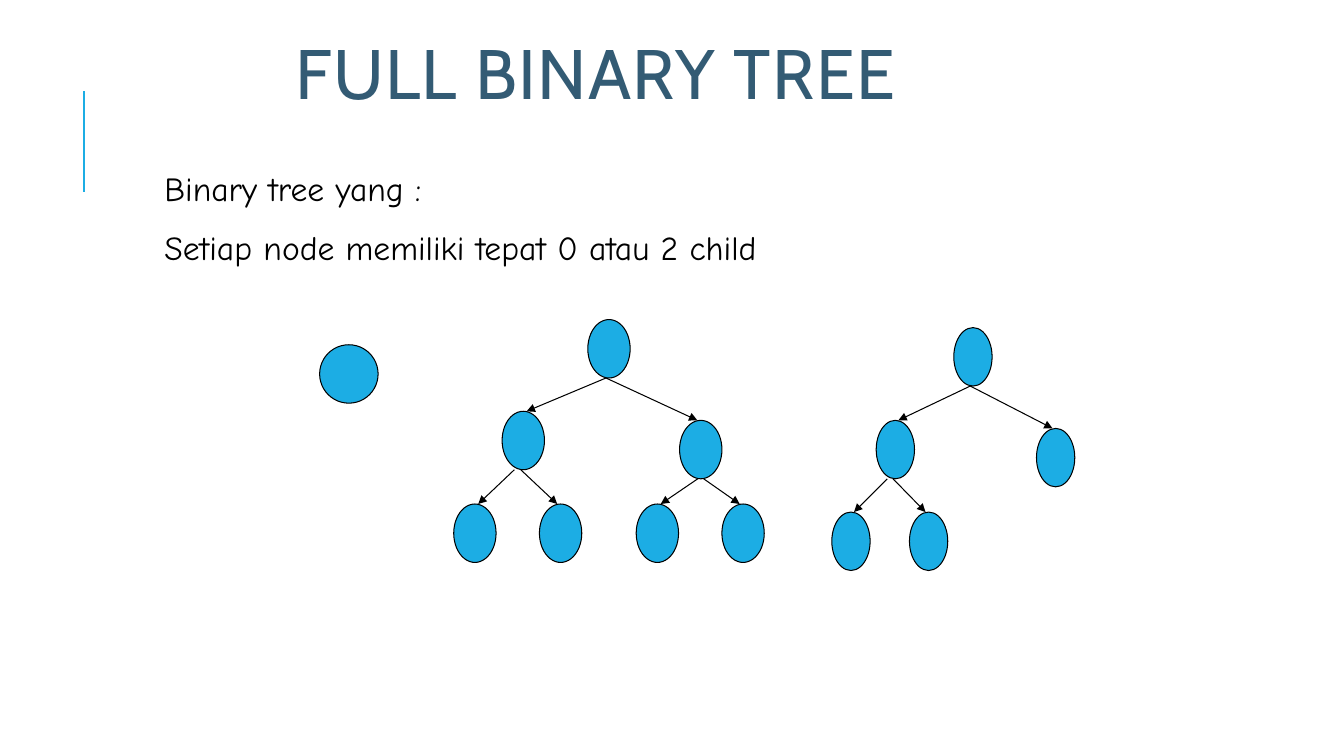
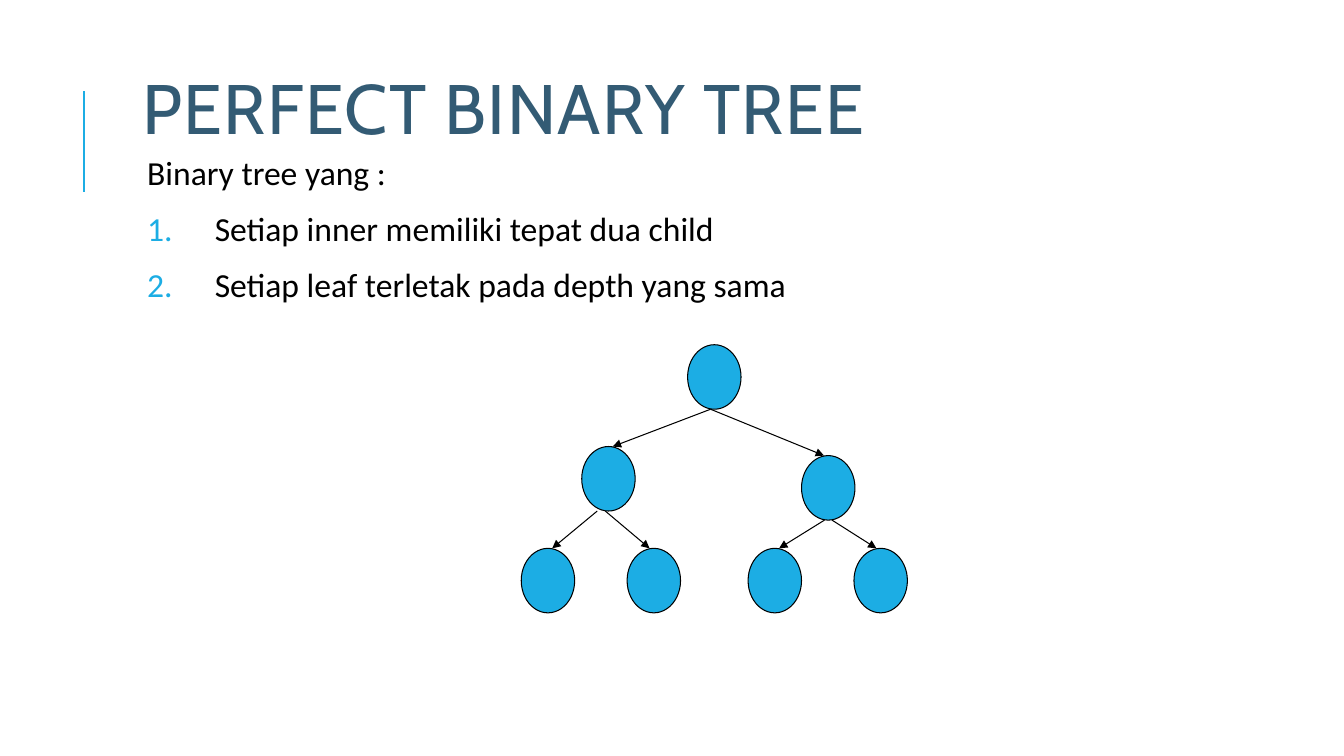
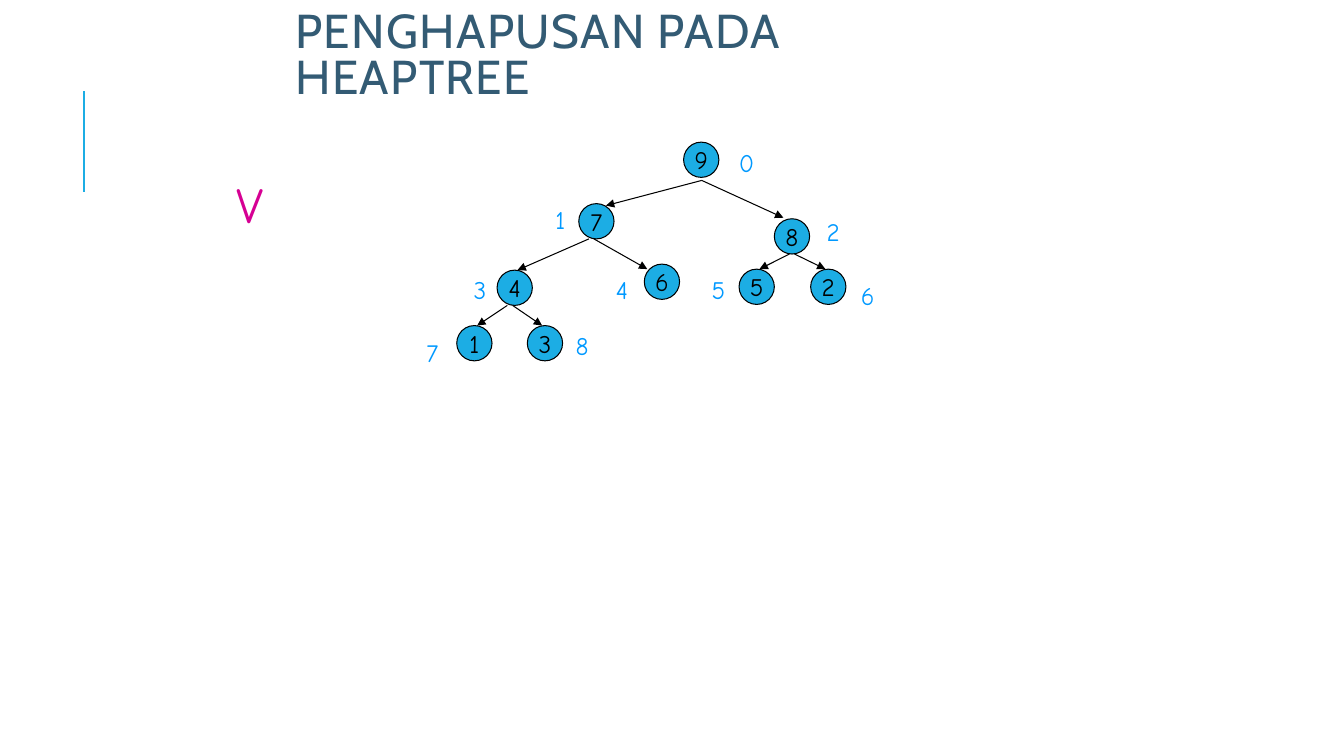
from dataclasses import dataclass

from lxml import etree
from pptx import Presentation
from pptx.dml.color import RGBColor
from pptx.enum import shapes, text
from pptx.oxml import ns
from pptx.util import Inches, Pt


@dataclass(frozen=True)
class Theme:
    accent: str = "1CADE4"
    title: str = "335B74"
    ink: str = "000000"
    index: str = "0099FF"
    mark: str = "D60093"
    title_font: str = "Cabin"
    body_font: str = "Calibri"
    hand_font: str = "Comic Neue"
    title_size: int = 50
    long_title_size: int = 34
    body_size: int = 24
    node_size: int = 18
    mark_size: int = 36
    outline: float = 0.75
    rule: float = 1.5


T = Theme()

# Content: trees list their nodes (left, top) in heap order,
# so the children of node i are nodes 2i + 1 and 2i + 2.
FULL = dict(
    title="FULL BINARY TREE", title_box=(2.83, 0.36, 8.5, 0.81),
    lines=["Binary tree yang :", "Setiap node memiliki tepat 0 atau 2 child"],
    lines_box=(1.53, 1.62, 9.38, 1.11),
    trees=[
        dict(size=(0.42, 0.58), nodes=[
            (5.83, 3.17), (4.98, 4.08), (6.74, 4.17),
            (4.5, 5), (5.35, 5), (6.31, 5), (7.16, 5)]),
        dict(size=(0.58, 0.58), nodes=[(3.17, 3.42)]),
        dict(size=(0.38, 0.58), nodes=[
            (9.46, 3.25), (8.69, 4.17), (10.28, 4.25), (8.25, 5.08), (9.02, 5.08)]),
    ])

PERFECT = dict(
    title="PERFECT BINARY TREE", title_box=(1.31, 0.71, 8.04, 0.81),
    lines=["Binary tree yang :", "Setiap inner memiliki tepat dua child",
           "Setiap leaf terletak pada depth yang sama"],
    lines_box=(1.41, 1.5, 10.23, 1.92),
    trees=[dict(size=(0.53, 0.64), nodes=[
        (6.82, 3.42), (5.77, 4.43), (7.95, 4.52),
        (5.17, 5.44), (6.22, 5.44), (7.42, 5.44), (8.47, 5.44)])])

HEAP = dict(
    title="PENGHAPUSAN PADA HEAPTREE", title_box=(2.83, 0.25, 7.33, 0.83),
    tree=dict(
        size=(0.35, 0.35),
        nodes=[(6.78, 1.41), (5.74, 2.02), (7.68, 2.17), (4.93, 2.68), (6.39, 2.62),
               (7.33, 2.67), (8.04, 2.67), (4.53, 3.23), (5.23, 3.23)],
        values="978465213",
        # Arrows that meet a node away from its top, by child index
        arrows={1: (6.96, 1.79, 6.01, 2.04), 2: (6.96, 1.79, 7.77, 2.16),
                4: (5.89, 2.37, 6.42, 2.67)}),
    index_at=[(7.23, 1.41), (5.41, 1.98), (8.1, 2.1), (4.6, 2.67), (6.01, 2.67),
              (6.96, 2.67), (8.44, 2.73), (4.13, 3.3), (5.61, 3.23)],
    mark="V", mark_box=(2.25, 1.67, 1.5, 0.7))

# Arrow ends as shares of node width, measured from the node's centre line
FORK = {"root": (-0.07, -0.07), "left": (-0.21, -0.06), "right": (-0.07, 0.07)}
TIP = 0.08


# Helpers
def inches(box):
    return [Inches(v) for v in box]


def place(sp, box):
    sp.left, sp.top, sp.width, sp.height = inches(box)


def style(p, font, size, color):
    for r in p.runs:
        r.font.name, r.font.size = font, Pt(size)
        r.font.color.rgb = RGBColor.from_string(color)


def add_line(parent, ends, color, width, arrow=False):
    line = parent.add_connector(shapes.MSO_CONNECTOR.STRAIGHT, *inches(ends))
    line.line.color.rgb = RGBColor.from_string(color)
    line.line.width = Pt(width)
    if arrow:
        etree.SubElement(line.line._get_or_add_ln(), ns.qn("a:tailEnd"), type="triangle")
    etree.SubElement(line.element.spPr, ns.qn("a:effectLst"))
    return line


def add_text(s, value, box, size, color):
    tf = s.shapes.add_textbox(*inches(box)).text_frame
    tf.word_wrap = True
    tf.text = value
    style(tf.paragraphs[0], T.hand_font, size, color)


def add_slide(prs, layout, data, size):
    s = prs.slides.add_slide(prs.slide_layouts[layout])
    sp = s.shapes.title
    place(sp, data["title_box"])
    tf = sp.text_frame
    tf.text = data["title"]
    tf.auto_size = text.MSO_AUTO_SIZE.NONE
    tf.vertical_anchor = text.MSO_ANCHOR.BOTTOM
    p = tf.paragraphs[0]
    p.alignment, p.line_spacing = text.PP_ALIGN.LEFT, 0.8
    style(p, T.title_font, size, T.title)
    p.runs[0].font._element.set("spc", "100")
    return s


def fill_body(s, data, font, indent, spacing, before, after=0, inset=0.1, numbered=False):
    sp = s.placeholders[1]
    place(sp, data["lines_box"])
    tf = sp.text_frame
    tf.text = "\n".join(data["lines"])
    tf.auto_size = text.MSO_AUTO_SIZE.NONE
    tf.margin_left = tf.margin_right = Inches(inset)
    for i, p in enumerate(tf.paragraphs):
        p.line_spacing = spacing
        p.space_before, p.space_after = Pt(before if i else 0), Pt(after)
        pPr = p._p.get_or_add_pPr()
        pPr.set("marL", str(Inches(indent)))
        pPr.set("indent", str(-Inches(indent)))
        if numbered and i:
            clr = etree.SubElement(pPr, ns.qn("a:buClr"))
            etree.SubElement(clr, ns.qn("a:srgbClr"), val=T.accent)
            etree.SubElement(pPr, ns.qn("a:buFont"), typeface="+mj-lt")
            etree.SubElement(pPr, ns.qn("a:buAutoNum"), type="arabicPeriod")
        else:
            etree.SubElement(pPr, ns.qn("a:buNone"))
        style(p, font, T.body_size, T.ink)


def arrow_ends(tree, child):
    w, h = tree["size"]
    parent = (child - 1) // 2
    (px, py), (cx, cy) = tree["nodes"][parent], tree["nodes"][child]
    role = "root" if parent == 0 else "left" if parent % 2 else "right"
    is_left = child % 2 == 1
    start = px + w * (0.5 + FORK[role][0 if is_left else 1])
    end = cx + w * (0.5 + (TIP if is_left else -TIP))
    return start, py + h, end, cy


def add_tree(parent, tree):
    for i, at in enumerate(tree["nodes"]):
        sp = parent.add_shape(shapes.MSO_SHAPE.OVAL, *inches(at + tree["size"]))
        sp.shadow.inherit = False
        sp.fill.solid()
        sp.fill.fore_color.rgb = RGBColor.from_string(T.accent)
        sp.line.color.rgb = RGBColor.from_string(T.ink)
        sp.line.width = Pt(T.outline)
        if "values" in tree:
            tf = sp.text_frame
            tf.text = tree["values"][i]
            tf.word_wrap = False
            tf.vertical_anchor = text.MSO_ANCHOR.MIDDLE
            tf.paragraphs[0].alignment = text.PP_ALIGN.CENTER
            style(tf.paragraphs[0], T.hand_font, T.node_size, T.ink)
    for child in range(1, len(tree["nodes"])):
        ends = tree.get("arrows", {}).get(child) or arrow_ends(tree, child)
        add_line(parent, ends, T.ink, T.outline, arrow=True)


def add_trees(s, trees):
    for tree in trees:
        grouped = len(tree["nodes"]) > 1
        add_tree(s.shapes.add_group_shape().shapes if grouped else s.shapes, tree)


def main():
    prs = Presentation()
    prs.slide_width, prs.slide_height = Inches(13.33), Inches(7.5)

    # Full binary tree
    s = add_slide(prs, 1, FULL, T.title_size)
    # The accent rule moves to the master, so every slide shows it
    rule = add_line(s.shapes, (0.83, 1.9, 0.83, 0.9), T.accent, T.rule)
    prs.slide_master.shapes.element.append(rule.element)
    fill_body(s, FULL, T.hand_font, indent=0.38, spacing=1.0, before=13)
    add_trees(s, FULL["trees"])

    # Perfect binary tree
    s = add_slide(prs, 1, PERFECT, T.title_size)
    fill_body(s, PERFECT, T.body_font, indent=0.67, spacing=0.9, before=12,
              after=2, inset=0.05, numbered=True)
    add_trees(s, PERFECT["trees"])

    # Heap tree with node indexes
    s = add_slide(prs, 5, HEAP, T.long_title_size)
    add_tree(s.shapes, HEAP["tree"])
    for i, at in enumerate(HEAP["index_at"]):
        add_text(s, str(i), at + (0.27, 0.4), T.node_size, T.index)
    add_text(s, HEAP["mark"], HEAP["mark_box"], T.mark_size, T.mark)

    prs.save("out.pptx")


if __name__ == "__main__":
    main()
